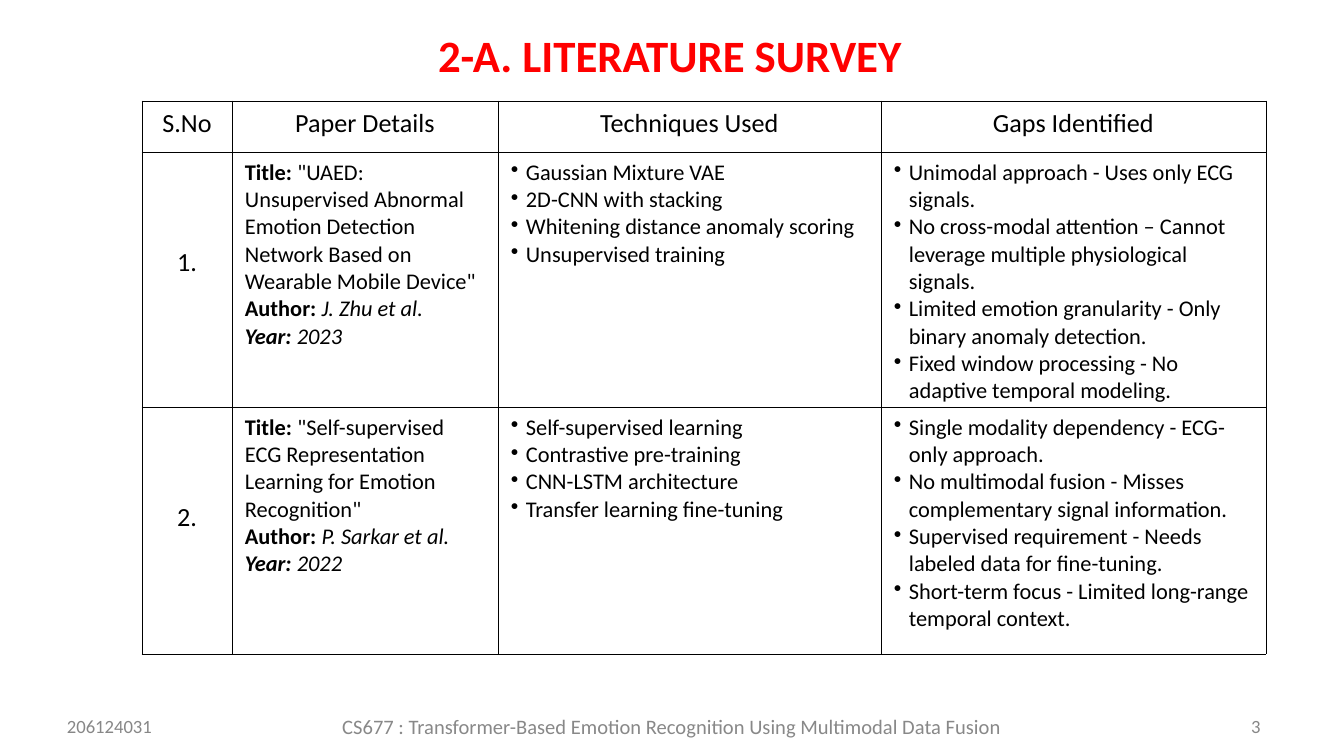
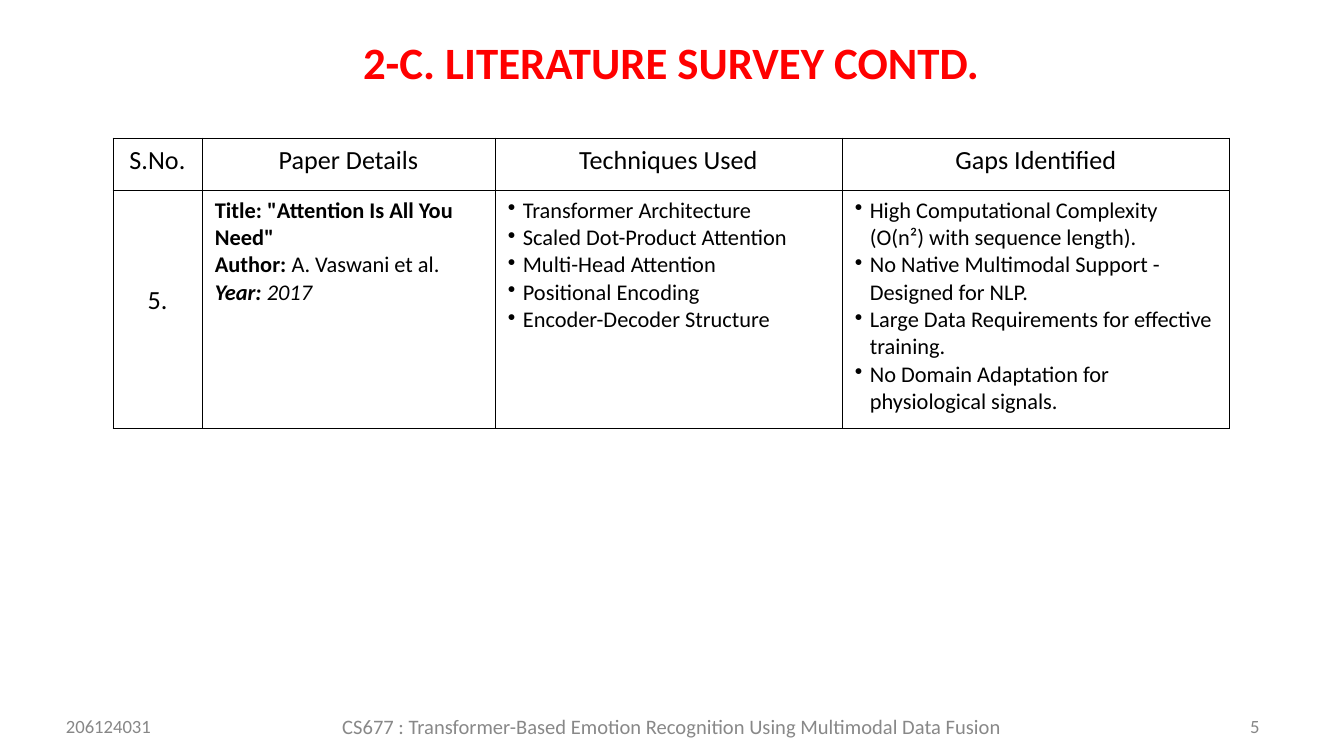
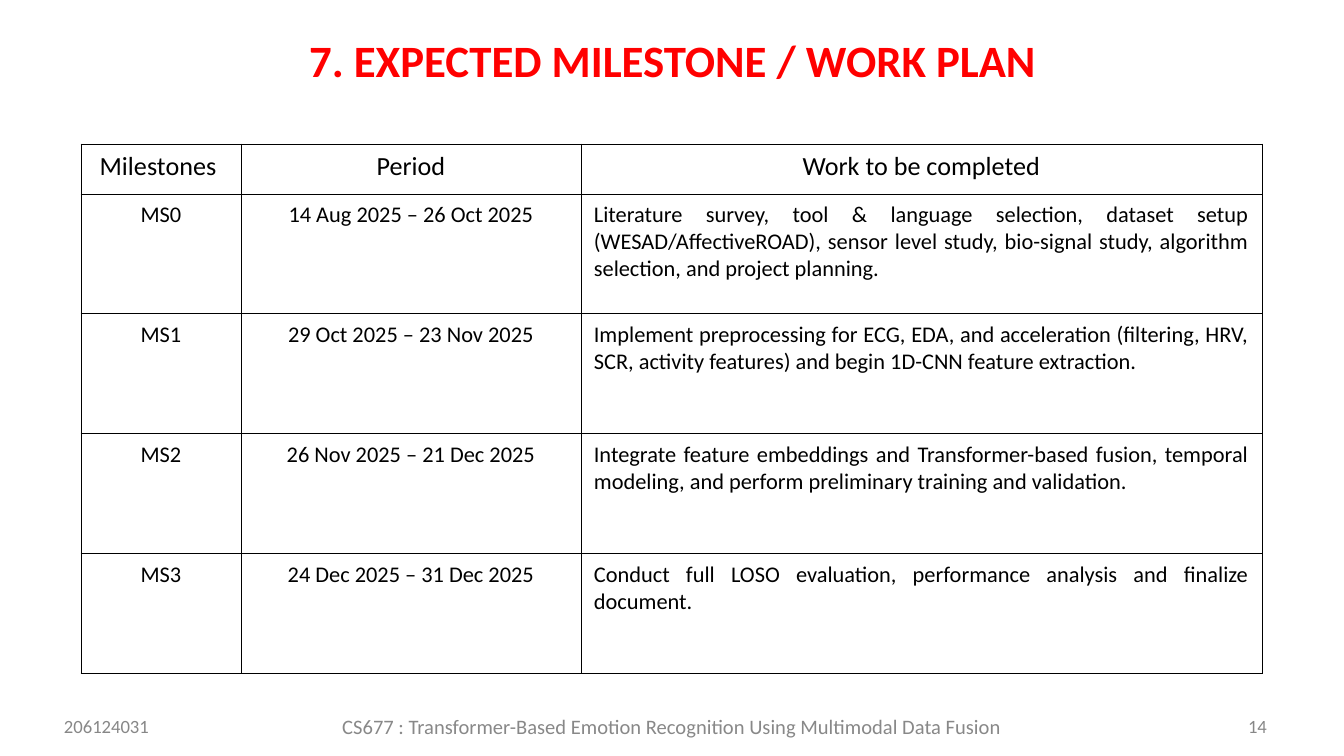
from dataclasses import dataclass

from lxml.etree import SubElement
from pptx import Presentation
from pptx.dml.color import RGBColor
from pptx.enum.text import MSO_ANCHOR, MSO_AUTO_SIZE, PP_ALIGN
from pptx.oxml.ns import qn
from pptx.util import Pt

LEFT, CENTER, JUSTIFY = PP_ALIGN.LEFT, PP_ALIGN.CENTER, PP_ALIGN.JUSTIFY


@dataclass(frozen=True)
class Theme:
    font: str = "Calibri"
    title_color: str = "FF0000"
    text_color: str = "000000"
    header_fill: str = "FFFFFF"
    border_color: str = "000000"
    course_color: str = "888888"
    footer_color: str = "878787"
    title_size: int = 24
    header_size: int = 14
    body_size: int = 12
    course_size: int = 11
    footer_size: int = 10
    border_width: float = 0.45


THEME = Theme()
SLIDE_SIZE = (1344, 756)
COURSE = "CS677 : Transformer-Based Emotion Recognition Using Multimodal Data Fusion"
ROLL_NUMBER = "206124031"
FOOTER_TOP = 714
CELL_MARGINS = (13, 7, 13, 2)
SERIAL_TOP = 95
BULLET_INDENT = 15

# Column kind: (type size, alignment, bulleted, top margin)
COLUMN_KINDS = {
    "serial": (THEME.header_size, CENTER, False, SERIAL_TOP),
    "details": (THEME.body_size, LEFT, False, CELL_MARGINS[1]),
    "bullets": (THEME.body_size, LEFT, True, CELL_MARGINS[1]),
    "centered": (THEME.body_size, CENTER, False, CELL_MARGINS[1]),
    "justified": (THEME.body_size, JUSTIFY, False, CELL_MARGINS[1]),
}


def paper(title, author, year, title_style="", author_style="i"):
    """Three paragraphs of (text, style) runs, where b is bold and i italic."""
    return [
        [("Title: ", "b"), (title, title_style)],
        [("Author: ", "b"), (author, author_style)],
        [("Year: ", "bi"), (year, "i")],
    ]


def survey_columns(serial_header, widths):
    headers = (serial_header, "Paper Details", "Techniques Used", "Gaps Identified")
    return list(zip(headers, widths, ("serial", "details", "bullets", "bullets")))


SLIDES = [
    {
        "title": "2-A. LITERATURE SURVEY",
        "title_box": (425, 27, 495, 56), "title_align": LEFT, "title_indent": 13,
        "number": "3", "footer_shift": 0,
        "table_at": (142, 101),
        "columns": survey_columns("S.No", (90, 266, 383, 385)),
        "row_heights": (51, 255, 247),
        "rows": [
            ("1.",
             paper('"UAED: Unsupervised Abnormal Emotion Detection Network '
                   'Based on Wearable Mobile Device"', "J. Zhu et al.", "2023"),
             ["Gaussian Mixture VAE",
              "2D-CNN with stacking",
              "Whitening distance anomaly scoring",
              "Unsupervised training"],
             ["Unimodal approach - Uses only ECG signals.",
              "No cross-modal attention – Cannot leverage multiple physiological signals.",
              "Limited emotion granularity - Only binary anomaly detection.",
              "Fixed window processing - No adaptive temporal modeling."]),
            ("2.",
             paper('"Self-supervised ECG Representation Learning for Emotion '
                   'Recognition"', "P. Sarkar et al.", "2022"),
             ["Self-supervised learning",
              "Contrastive pre-training",
              "CNN-LSTM architecture",
              "Transfer learning fine-tuning"],
             ["Single modality dependency - ECG-only approach.",
              "No multimodal fusion - Misses complementary signal information.",
              "Supervised requirement - Needs labeled data for fine-tuning.",
              "Short-term focus - Limited long-range temporal context."]),
        ],
    },
    {
        "title": "2-C. LITERATURE SURVEY CONTD.",
        "title_box": (350, 34, 644, 56), "title_align": LEFT, "title_indent": 13,
        "number": "5", "footer_shift": -1,
        "table_at": (113, 138),
        "columns": survey_columns("S.No.", (89, 293, 347, 388)),
        "row_heights": (52, 238),
        "rows": [
            ("5.",
             paper('"Attention Is All You Need"', "A. Vaswani et al.", "2017", "b", ""),
             ["Transformer Architecture",
              "Scaled Dot-Product Attention",
              "Multi-Head Attention",
              "Positional Encoding",
              "Encoder-Decoder Structure"],
             ["High Computational Complexity (O(n²) with sequence length).",
              "No Native Multimodal Support - Designed for NLP.",
              "Large Data Requirements for effective training.",
              "No Domain Adaptation for physiological signals."]),
        ],
    },
    {
        "title": "7. EXPECTED MILESTONE / WORK PLAN",
        "title_box": (284, 32, 776, 56), "title_align": CENTER, "title_indent": 1,
        "number": "14", "footer_shift": -3,
        "table_at": (81, 144),
        "columns": [("Milestones ", 160, "centered"),
                    ("Period", 340, "centered"),
                    ("Work to be completed", 681, "justified")],
        "row_heights": (50, 120, 120, 120, 120),
        "rows": [
            ("MS0", "14 Aug 2025 – 26 Oct 2025",
             "Literature survey, tool & language selection, dataset setup "
             "(WESAD/AffectiveROAD), sensor level study, bio-signal study, "
             "algorithm selection, and project planning."),
            ("MS1", "29 Oct 2025 – 23 Nov 2025",
             "Implement preprocessing for ECG, EDA, and acceleration (filtering, "
             "HRV, SCR, activity features) and begin 1D-CNN feature extraction."),
            ("MS2", "26 Nov 2025 – 21 Dec 2025",
             "Integrate feature embeddings and Transformer-based fusion, temporal "
             "modeling, and perform preliminary training and validation."),
            ("MS3", "24 Dec 2025 – 31 Dec 2025",
             "Conduct full LOSO evaluation, performance analysis and finalize document."),
        ],
    },
]


def px(length):
    return round(length * 914400 / 134.4)


def style_paragraph(paragraph, size, color, align, bold=None):
    paragraph.alignment = align
    font = paragraph.font
    font.name, font.size, font.bold = THEME.font, Pt(size), bold
    font.color.rgb = RGBColor.from_string(color)


def set_indent(paragraph, left, first=0):
    properties = paragraph._p.get_or_add_pPr()
    properties.set("marL", str(px(left)))
    properties.set("indent", str(px(first)))
    return properties


def add_bullet(paragraph):
    properties = set_indent(paragraph, BULLET_INDENT, -BULLET_INDENT)
    bullet = properties.makeelement(qn("a:buChar"), {"char": "•"})
    properties.insert_element_before(bullet, "a:tabLst", "a:defRPr", "a:extLst")


def set_frame(text_frame, top_margin=0):
    text_frame.margin_left = text_frame.margin_right = text_frame.margin_bottom = 0
    text_frame.margin_top = px(top_margin)
    text_frame.word_wrap = True
    text_frame.vertical_anchor = MSO_ANCHOR.TOP
    text_frame.auto_size = MSO_AUTO_SIZE.SHAPE_TO_FIT_TEXT


def add_title(slide, content):
    title = slide.shapes.title
    title.left, title.top, title.width, title.height = map(px, content["title_box"])
    set_frame(title.text_frame, 1)
    title.text_frame.text = content["title"]
    paragraph = title.text_frame.paragraphs[0]
    style_paragraph(paragraph, THEME.title_size, THEME.title_color,
                    content["title_align"], bold=True)
    set_indent(paragraph, content["title_indent"])


def add_footers(slide, number, shift):
    small = (THEME.footer_size, THEME.footer_color, LEFT, 1, 1.04)
    footers = [
        (COURSE, 336, 672, 24, THEME.course_size, THEME.course_color, CENTER, 0, 1),
        (ROLL_NUMBER, 66 + shift, 102, 23, *small),
        (number, 1250 + shift, 28, 24, *small),
    ]
    for text, left, width, height, size, color, align, indent, spacing in footers:
        box = slide.shapes.add_textbox(px(left), px(FOOTER_TOP), px(width), px(height))
        set_frame(box.text_frame)
        box.text_frame.text = text
        paragraph = box.text_frame.paragraphs[0]
        style_paragraph(paragraph, size, color, align)
        paragraph.line_spacing = spacing
        set_indent(paragraph, indent)


def add_borders(cell):
    properties = cell._tc.get_or_add_tcPr()
    for side in ("lnL", "lnR", "lnT", "lnB"):
        line = SubElement(properties, qn(f"a:{side}"), w=str(int(Pt(THEME.border_width))))
        fill = SubElement(line, qn("a:solidFill"))
        SubElement(fill, qn("a:srgbClr"), val=THEME.border_color)


def fill_cell(cell, content, size, align, bulleted=False, top_margin=CELL_MARGINS[1]):
    """Content is a string, or a list of paragraphs: strings or lists of runs."""
    cell.margin_left, _, cell.margin_right, cell.margin_bottom = map(px, CELL_MARGINS)
    cell.margin_top = px(top_margin)
    cell.vertical_anchor = MSO_ANCHOR.TOP
    add_borders(cell)
    cell.fill.background()
    paragraphs = [content] if isinstance(content, str) else content
    for index, runs in enumerate(paragraphs):
        frame = cell.text_frame
        paragraph = frame.add_paragraph() if index else frame.paragraphs[0]
        style_paragraph(paragraph, size, THEME.text_color, align)
        if bulleted:
            add_bullet(paragraph)
        for text, style in [(runs, "")] if isinstance(runs, str) else runs:
            run = paragraph.add_run()
            run.text = text
            # Runs need the look too, as table cells ignore paragraph defaults.
            run.font.name, run.font.size = THEME.font, Pt(size)
            run.font.color.rgb = RGBColor.from_string(THEME.text_color)
            run.font.bold, run.font.italic = "b" in style, "i" in style


def add_grid(slide, content):
    columns, heights = content["columns"], content["row_heights"]
    left, top = content["table_at"]
    width = sum(column_width for _, column_width, _ in columns)
    table = slide.shapes.add_table(len(heights), len(columns), px(left), px(top),
                                   px(width), px(sum(heights))).table
    table.first_row = table.horz_banding = False
    for row, height in zip(table.rows, heights):
        row.height = px(height)
    for index, (header, column_width, kind) in enumerate(columns):
        table.columns[index].width = px(column_width)
        header_cell = table.cell(0, index)
        fill_cell(header_cell, header, THEME.header_size, CENTER)
        header_cell.fill.solid()
        header_cell.fill.fore_color.rgb = RGBColor.from_string(THEME.header_fill)
        for row_index, row in enumerate(content["rows"], start=1):
            fill_cell(table.cell(row_index, index), row[index], *COLUMN_KINDS[kind])


def main():
    presentation = Presentation()
    presentation.slide_width, presentation.slide_height = map(px, SLIDE_SIZE)
    title_only = presentation.slide_layouts[5]
    for content in SLIDES:
        slide = presentation.slides.add_slide(title_only)
        add_title(slide, content)
        add_grid(slide, content)
        add_footers(slide, content["number"], content["footer_shift"])
    presentation.save("out.pptx")


if __name__ == "__main__":
    main()
